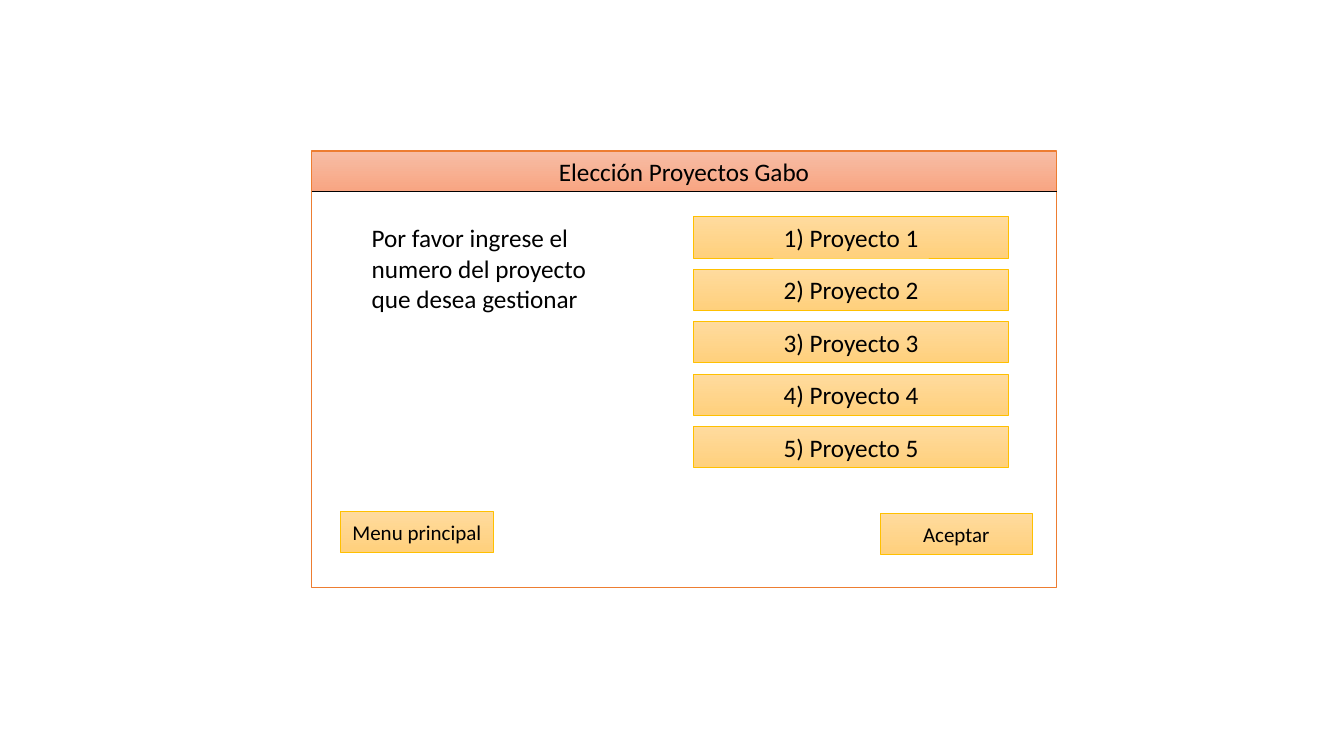
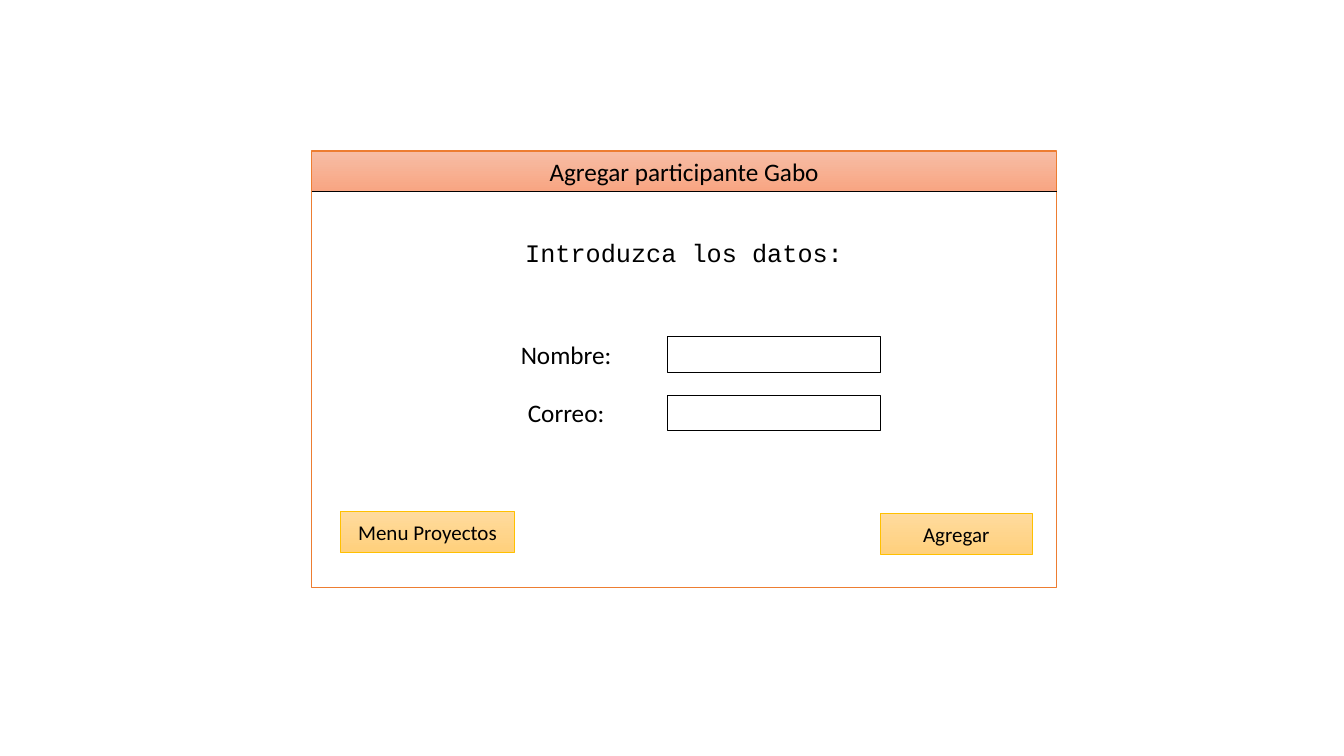
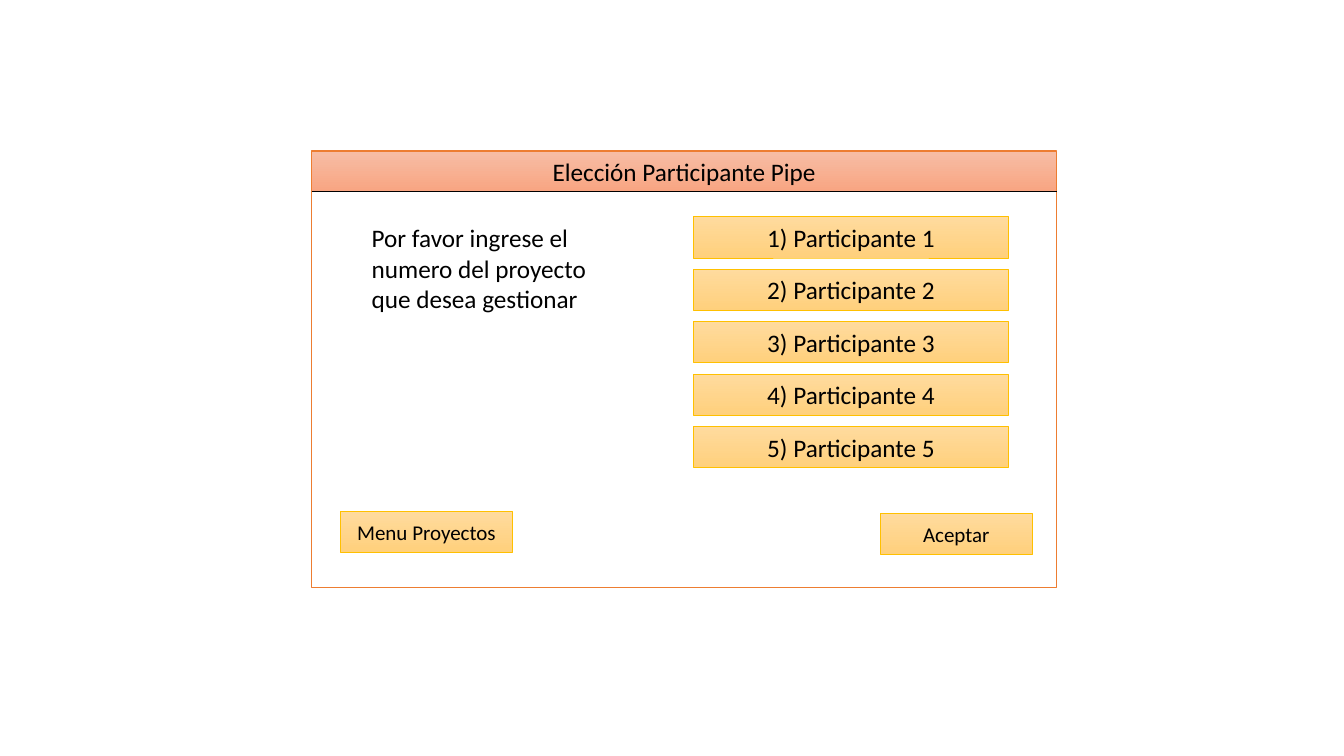
from dataclasses import dataclass

from lxml import etree
from pptx import Presentation
from pptx.dml.color import RGBColor
from pptx.enum.shapes import MSO_CONNECTOR, MSO_SHAPE
from pptx.enum.text import MSO_ANCHOR, PP_ALIGN
from pptx.oxml.ns import qn
from pptx.util import Inches, Pt


@dataclass(frozen=True)
class Theme:
    """Colours, fonts, type sizes and line widths shared by all slides."""
    paper: str = "FFFFFF"
    ink: str = "000000"
    frame: str = "ED7D31"
    header: tuple = ("F7BDA5", "F8A582")
    button: tuple = ("FFDB9E", "FFD07C")
    button_edge: str = "FFC000"
    font: str = "Calibri"
    mono: str = "Courier New"
    body_size: float = 18
    button_size: float = 15
    thin: float = 0.5
    thick: float = 1


@dataclass(frozen=True)
class Box:
    """A rectangle in inches that can place boxes inside itself."""
    left: float
    top: float
    width: float
    height: float

    def inside(self, dx, dy, width, height):
        """Return a box offset from this one's top left corner."""
        return Box(self.left + dx, self.top + dy, width, height)

    def lengths(self):
        """Return left, top, width and height as slide lengths."""
        return [Inches(v) for v in (self.left, self.top, self.width, self.height)]


THEME = Theme()
WINDOW = Box(3.09, 1.5, 7.39, 4.33)
HEADER_HEIGHT = 0.4
BUTTON_HEIGHT = 0.41
OPTION_PITCH = 0.52
FIELD_PITCH = 0.58
PROMPT = "Por favor ingrese el numero del proyecto que desea gestionar"


def write(shape, text, size=THEME.body_size, font=THEME.font, align=PP_ALIGN.CENTER):
    """Put one styled, vertically centred paragraph in a shape."""
    frame = shape.text_frame
    frame.word_wrap = True
    frame.vertical_anchor = MSO_ANCHOR.MIDDLE
    paragraph = frame.paragraphs[0]
    paragraph.text = text
    paragraph.alignment = align
    paragraph.font.size = Pt(size)
    paragraph.font.name = font
    paragraph.font.color.rgb = RGBColor.from_string(THEME.ink)


def add_panel(slide, box, fill=None, edge=None, weight=THEME.thin, preset=MSO_SHAPE.RECTANGLE):
    """Draw a shape with a plain, vertical gradient or empty fill."""
    panel = slide.shapes.add_shape(preset, *box.lengths())
    panel.shadow.inherit = False
    if fill is None:
        panel.fill.background()
    elif isinstance(fill, str):
        panel.fill.solid()
        panel.fill.fore_color.rgb = RGBColor.from_string(fill)
    else:
        panel.fill.gradient()
        panel.fill.gradient_angle = 270
        for stop, colour in zip(panel.fill.gradient_stops, fill):
            stop.color.rgb = RGBColor.from_string(colour)
    if edge is None:
        panel.line.fill.background()
    else:
        panel.line.color.rgb = RGBColor.from_string(edge)
        panel.line.width = Pt(weight)
    return panel


def add_button(slide, box, label, size=THEME.button_size):
    """Draw a labelled amber button."""
    write(add_panel(slide, box, THEME.button, THEME.button_edge), label, size)


def add_rule(slide, box):
    """Draw a thin line along the bottom of a box."""
    left, top, width, height = box.lengths()
    rule = slide.shapes.add_connector(
        MSO_CONNECTOR.STRAIGHT, left, top + height, left + width, top + height)
    rule.line.color.rgb = RGBColor.from_string(THEME.ink)
    rule.line.width = Pt(THEME.thin)
    etree.SubElement(rule.line._get_or_add_ln().getparent(), qn("a:effectLst"))


def add_window(slide, box, title, back, back_width, action):
    """Draw the window frame, title bar and bottom buttons."""
    add_panel(slide, box, THEME.paper, THEME.frame, THEME.thick)
    header = box.inside(0, 0, box.width, HEADER_HEIGHT)
    write(add_panel(slide, header, THEME.header, THEME.frame), title)
    add_rule(slide, header)
    add_button(slide, box.inside(5.64, 3.59, 1.51, BUTTON_HEIGHT), action)
    add_button(slide, box.inside(0.29, 3.57, back_width, BUTTON_HEIGHT), back)


def add_choices(slide, box, noun):
    """Place the prompt and five numbered options in a window."""
    prompt = add_panel(slide, box.inside(0.43, 0.46, 2.85, 1.4),
                       preset=MSO_SHAPE.ROUNDED_RECTANGLE)
    write(prompt, PROMPT, align=PP_ALIGN.LEFT)
    for row in range(5):
        option = box.inside(3.79, 0.65 + row * OPTION_PITCH, 3.12, BUTTON_HEIGHT)
        add_button(slide, option, f"{row + 1}) {noun} {row + 1}", THEME.body_size)


def add_form(slide, box, heading, labels):
    """Place a heading and labelled entry fields in a window."""
    banner = add_panel(slide, box.inside(0.54, 0.76, 6.31, 0.49),
                       preset=MSO_SHAPE.ROUNDED_RECTANGLE)
    write(banner, heading, font=THEME.mono)
    for row, label in enumerate(labels):
        top = 1.84 + row * FIELD_PITCH
        add_panel(slide, box.inside(3.53, top, 2.11, 0.35), edge=THEME.ink)
        caption = slide.shapes.add_textbox(*box.inside(1.47, top, 2.11, 0.35).lengths())
        write(caption, label)


def main():
    """Build the three screens and save them."""
    deck = Presentation()
    deck.slide_width, deck.slide_height = Inches(13.33), Inches(7.5)
    screens = [
        (("Elección Proyectos Gabo", "Menu principal", 1.51, "Aceptar"),
         add_choices, ("Proyecto",)),
        (("Agregar participante Gabo", "Menu Proyectos", 1.72, "Agregar"),
         add_form, ("Introduzca los datos:", ("Nombre:", "Correo:"))),
        (("Elección Participante Pipe", "Menu Proyectos", 1.7, "Aceptar"),
         add_choices, ("Participante",)),
    ]
    for window, add_content, content in screens:
        slide = deck.slides.add_slide(deck.slide_layouts[6])
        add_window(slide, WINDOW, *window)
        add_content(slide, WINDOW, *content)
    deck.save("out.pptx")


if __name__ == "__main__":
    main()
